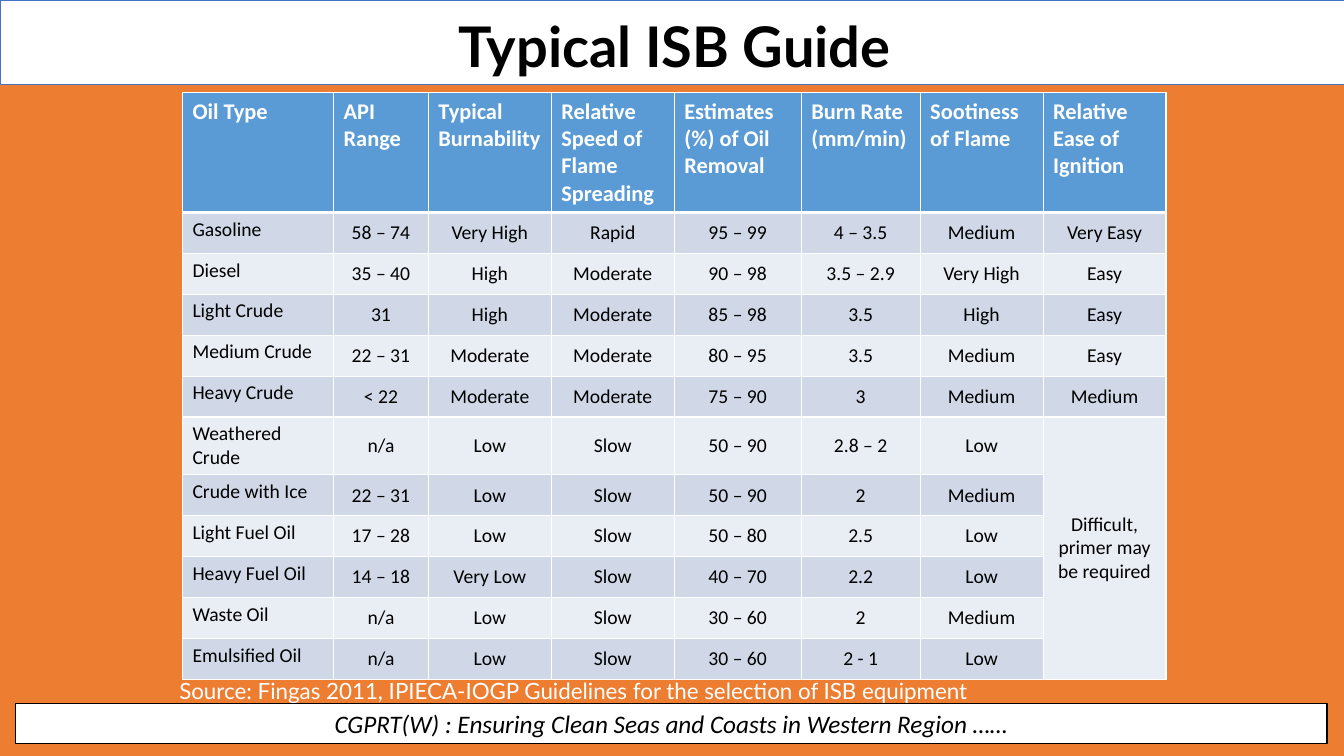
"""Build the slide that compares how oil types behave during in-situ burning."""
from dataclasses import dataclass

import lxml.etree
import pptx
import pptx.dml.color
import pptx.enum.shapes
import pptx.enum.text
import pptx.oxml.ns
import pptx.util

Pt = pptx.util.Pt
Align = pptx.enum.text.PP_ALIGN
Anchor = pptx.enum.text.MSO_ANCHOR
AutoSize = pptx.enum.text.MSO_AUTO_SIZE


@dataclass(frozen=True)
class Theme:
    background: str = "ED7D31"
    white: str = "FFFFFF"
    black: str = "000000"
    banner_line: str = "4472C4"
    header_fill: str = "5B9BD5"
    bands: tuple[str, str] = ("D0D8E8", "E9EDF4")
    title_size: float = 40
    footer_size: float = 18
    header_size: float = 16
    body_size: float = 14
    source_size: float = 16
    display_font: str = "Lato"
    text_font: str = "Calibri"


@dataclass(frozen=True)
class Frame:
    left: float
    top: float
    width: float
    height: float

    def lengths(self) -> tuple:
        return tuple(Pt(n) for n in (self.left, self.top, self.width, self.height))


@dataclass(frozen=True)
class Style:
    size: float
    color: str
    font: str
    bold: bool = False
    italic: bool = False
    align: Align = Align.LEFT


@dataclass(frozen=True)
class Bar:
    frame: Frame
    line: str
    weight: float


THEME = Theme()
TITLE = Style(THEME.title_size, THEME.black, THEME.display_font, bold=True, align=Align.CENTER)
FOOTER = Style(THEME.footer_size, THEME.black, THEME.text_font, italic=True, align=Align.CENTER)
SOURCE = Style(THEME.source_size, THEME.white, THEME.display_font)
HEADER = Style(THEME.header_size, THEME.white, THEME.text_font, bold=True)
OIL_NAME = Style(THEME.body_size, THEME.black, THEME.text_font)
VALUE = Style(THEME.body_size, THEME.black, THEME.text_font, align=Align.CENTER)

FOOTER_BAR = Bar(Frame(11.2, 502.6, 936.7, 28.8), THEME.black, 0.75)
TITLE_BAR = Bar(Frame(0, 0, 960, 60.5), THEME.banner_line, 0.5)
TITLE_FRAME = Frame(157.7, 10.1, 648, 43.9)
TABLE_FRAME = Frame(130.3, 66.3, 702.72, 417.6)
SOURCE_FRAME = Frame(121, 480.2, 589.7, 26.6)

COLUMN_WIDTHS = (108, 67.68, 87.84, 87.84, 90.72, 84.96, 87.84, 87.84)
HEADER_HEIGHT, ROW_HEIGHT, TALL_ROW_HEIGHT = 84.24, 29.23, 41.04
TALL_ROW = MERGE_START = 6

ROWS = (
    ("Oil Type", "API\nRange", "Typical Burnability", "Relative Speed of Flame Spreading",
     "Estimates (%) of Oil Removal", "Burn Rate (mm/min)", "Sootiness of Flame",
     "Relative Ease of Ignition"),
    ("Gasoline", "58 – 74", "Very High", "Rapid", "95 – 99", "4 – 3.5", "Medium", "Very Easy"),
    ("Diesel", "35 – 40", "High", "Moderate", "90 – 98", "3.5 – 2.9", "Very High", "Easy"),
    ("Light Crude", "31", "High", "Moderate", "85 – 98", "3.5", "High", "Easy"),
    ("Medium Crude", "22 – 31", "Moderate", "Moderate", "80 – 95", "3.5", "Medium", "Easy"),
    ("Heavy Crude", "< 22", "Moderate", "Moderate", "75 – 90", "3", "Medium", "Medium"),
    ("Weathered Crude", "n/a", "Low", "Slow", "50 – 90", "2.8 – 2", "Low",
     "Difficult, primer may be required"),
    ("Crude with Ice", "22 – 31", "Low", "Slow", "50 – 90", "2", "Medium", ""),
    ("Light Fuel Oil", "17 – 28", "Low", "Slow", "50 – 80", "2.5", "Low", ""),
    ("Heavy Fuel Oil", "14 – 18", "Very Low", "Slow", "40 – 70", "2.2", "Low", ""),
    ("Waste Oil", "n/a", "Low", "Slow", "30 – 60", "2", "Medium", ""),
    ("Emulsified Oil", "n/a", "Low", "Slow", "30 – 60", "2 - 1", "Low", ""),
)


def rgb(color: str) -> pptx.dml.color.RGBColor:
    return pptx.dml.color.RGBColor.from_string(color)


def write(text_frame, text: str, style: Style) -> None:
    text_frame.text = text
    for paragraph in text_frame.paragraphs:
        paragraph.alignment = style.align
        font = paragraph.font
        font.size, font.name = Pt(style.size), style.font
        font.bold, font.italic = style.bold, style.italic
        font.color.rgb = rgb(style.color)


def add_bar(slide, bar: Bar):
    shape = slide.shapes.add_shape(
        pptx.enum.shapes.MSO_SHAPE.RECTANGLE, *bar.frame.lengths())
    shape.shadow.inherit = False
    shape.fill.solid()
    shape.fill.fore_color.rgb = rgb(THEME.white)
    shape.line.color.rgb = rgb(bar.line)
    shape.line.width = Pt(bar.weight)
    return shape


def place_title(slide, text: str) -> None:
    title = slide.shapes.title
    title.left, title.top, title.width, title.height = TITLE_FRAME.lengths()
    title.element.getparent().append(title.element)
    write(title.text_frame, text, TITLE)
    title.text_frame.auto_size = AutoSize.NONE
    title.text_frame.vertical_anchor = Anchor.TOP
    title.text_frame.paragraphs[0].line_spacing = 0.9


def set_borders(cell, row: int) -> None:
    name = pptx.oxml.ns.qn
    properties = cell._tc.get_or_add_tcPr()
    weights = {"L": 1, "R": 1, "T": 3 if row == 1 else 1, "B": 3 if row == 0 else 1}
    for side, weight in weights.items():
        line = lxml.etree.SubElement(properties, name(f"a:ln{side}"), w=str(Pt(weight)))
        fill = lxml.etree.SubElement(line, name("a:solidFill"))
        lxml.etree.SubElement(fill, name("a:srgbClr"), val=THEME.white)


def fill_cell(cell, text: str, row: int, column: int) -> None:
    set_borders(cell, row)
    is_value = row > 0 and column > 0
    color = THEME.bands[(row - 1) % 2] if row else THEME.header_fill
    style = VALUE if is_value else OIL_NAME if row else HEADER
    cell.fill.solid()
    cell.fill.fore_color.rgb = rgb(color)
    cell.vertical_anchor = Anchor.MIDDLE if is_value else Anchor.TOP
    write(cell.text_frame, text, style)


def add_guide_table(slide) -> None:
    table = slide.shapes.add_table(
        len(ROWS), len(COLUMN_WIDTHS), *TABLE_FRAME.lengths()).table
    table.horz_banding = False
    for column, width in zip(table.columns, COLUMN_WIDTHS):
        column.width = Pt(width)
    for row, texts in enumerate(ROWS):
        height = {0: HEADER_HEIGHT, TALL_ROW: TALL_ROW_HEIGHT}.get(row, ROW_HEIGHT)
        table.rows[row].height = Pt(height)
        for column, text in enumerate(texts):
            fill_cell(table.cell(row, column), text, row, column)
    last_row, last_column = len(ROWS) - 1, len(COLUMN_WIDTHS) - 1
    table.cell(MERGE_START, last_column).merge(table.cell(last_row, last_column))


def add_source(slide, text: str) -> None:
    box = slide.shapes.add_textbox(*SOURCE_FRAME.lengths())
    box.text_frame.word_wrap = True
    box.text_frame.auto_size = AutoSize.SHAPE_TO_FIT_TEXT
    write(box.text_frame, text, SOURCE)


def main() -> None:
    deck = pptx.Presentation()
    deck.slide_width, deck.slide_height = Pt(960), Pt(540)
    slide = deck.slides.add_slide(deck.slide_layouts.get_by_name("Title Only"))
    slide.background.fill.solid()
    slide.background.fill.fore_color.rgb = rgb(THEME.background)
    footer = add_bar(slide, FOOTER_BAR)
    footer.text_frame.vertical_anchor = Anchor.MIDDLE
    write(footer.text_frame,
          "CGPRT(W) : Ensuring Clean Seas and Coasts in Western Region ……", FOOTER)
    add_bar(slide, TITLE_BAR)
    place_title(slide, "Typical ISB Guide")
    add_guide_table(slide)
    add_source(slide, "Source: Fingas 2011, IPIECA-IOGP Guidelines for the selection"
                      " of ISB equipment")
    deck.save("out.pptx")


if __name__ == "__main__":
    main()
